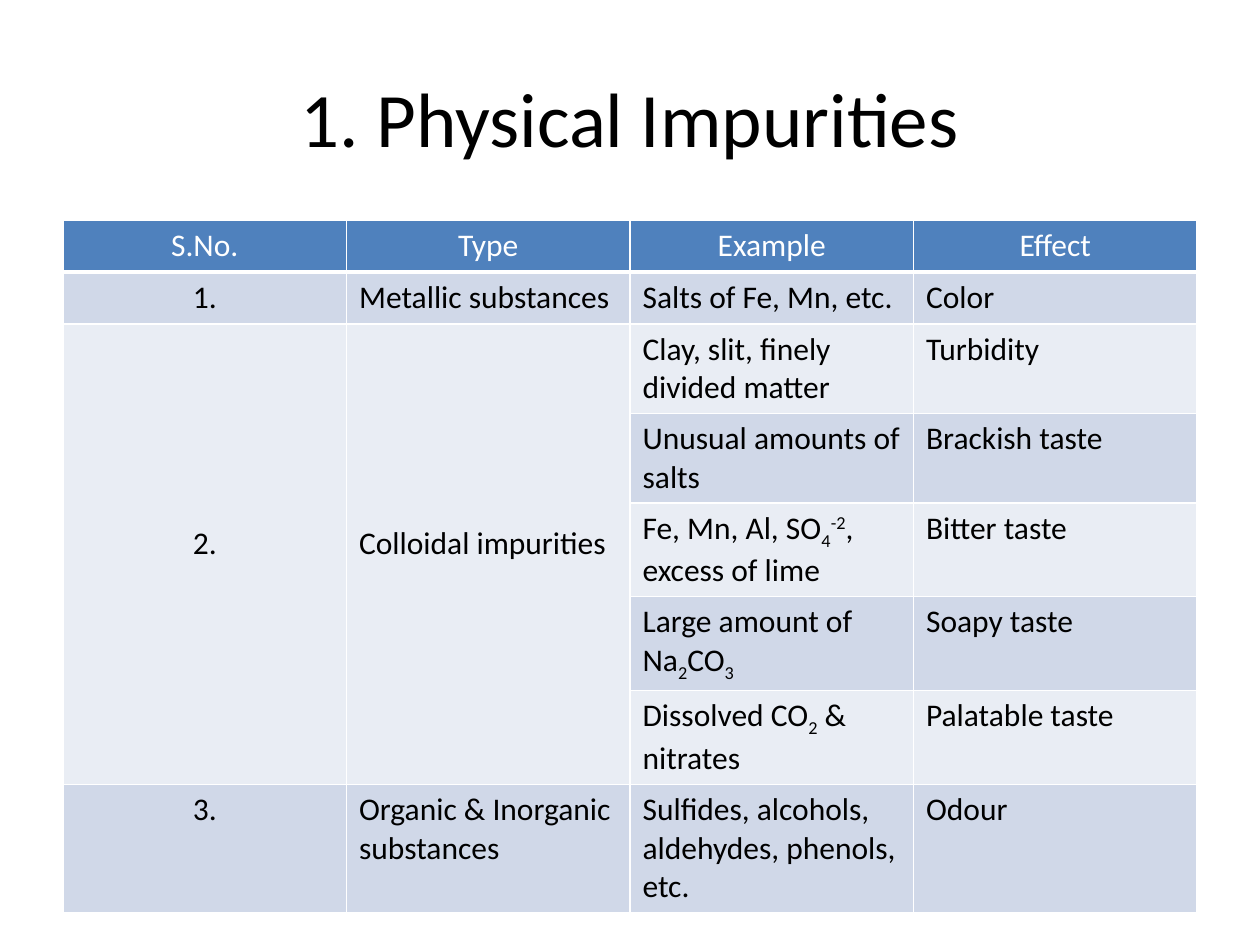
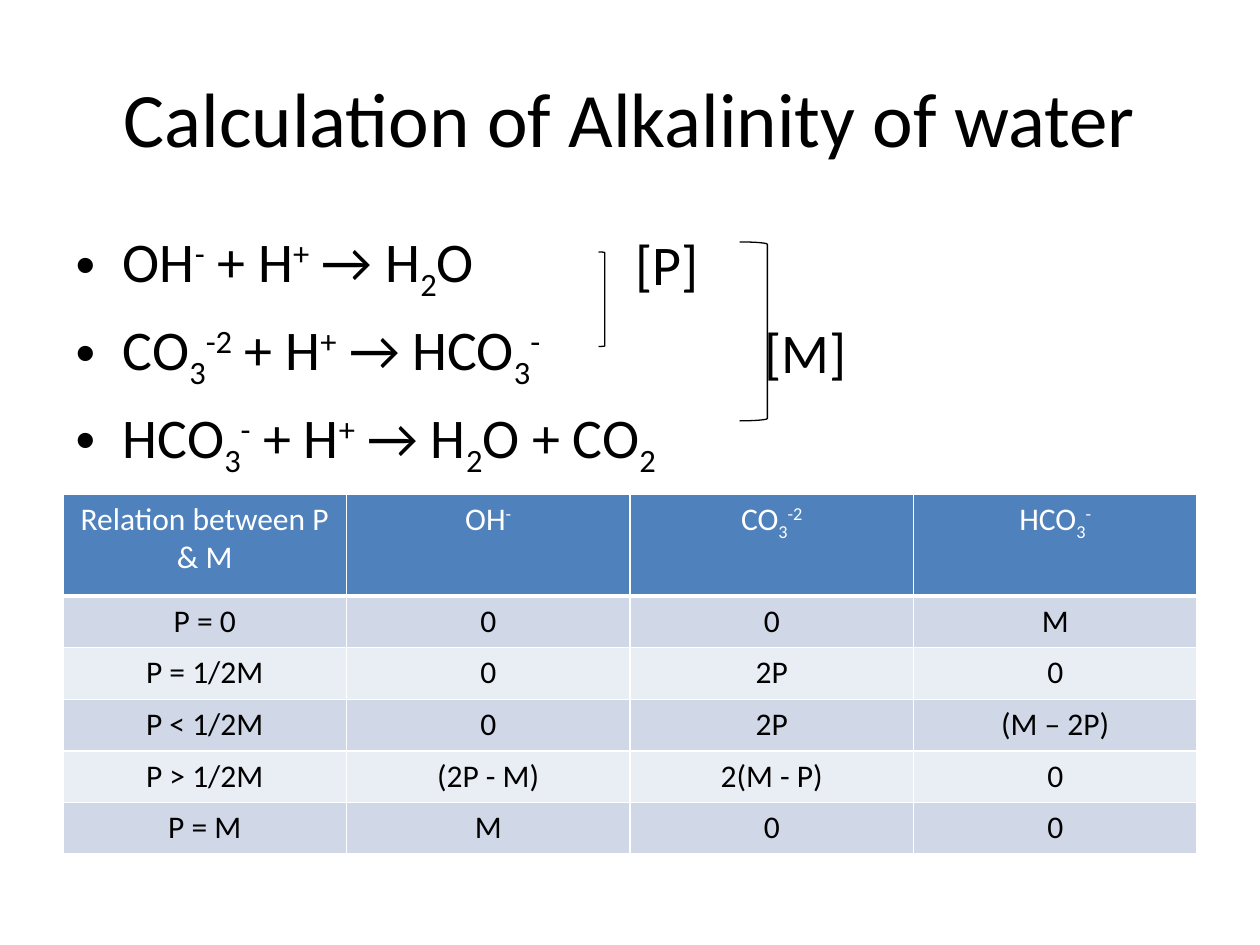
from dataclasses import dataclass

from lxml import etree
from pptx import Presentation
from pptx.dml.color import RGBColor
from pptx.enum.shapes import MSO_SHAPE
from pptx.enum.text import MSO_ANCHOR, PP_ALIGN
from pptx.oxml.ns import qn
from pptx.util import Inches, Pt

CENTER, LEFT = PP_ALIGN.CENTER, PP_ALIGN.LEFT
MIDDLE = MSO_ANCHOR.MIDDLE
RIGHT_BRACKET = MSO_SHAPE.RIGHT_BRACKET

FONT = "Calibri"
COLORS = {
    "text": "000000",
    "white": "FFFFFF",
    "header": "4F81BD",
    "odd_row": "D0D8E8",
    "even_row": "E9EDF4",
}
BASELINES = {"_": "-25000", "^": "30000"}
MARGIN, CONTENT_WIDTH = 0.5, 9
ROW_HEIGHT = 0.41
TITLE_ONLY, TITLE_AND_CONTENT = 5, 1


@dataclass
class Grid:
    top: float
    rows: list[list[str]]
    alignments: list
    header_height: float = ROW_HEIGHT


@dataclass
class Bracket:
    left: float
    top: float
    width: float
    height: float
    label: str
    label_left: float
    label_top: float


IMPURITIES = Grid(
    top=1.75,
    rows=[
        ["S.No.", "Type", "Example", "Effect"],
        ["1.", "Metallic substances", "Salts of Fe, Mn, etc.", "Color"],
        ["2.", "Colloidal impurities", "Clay, slit, finely divided matter", "Turbidity"],
        ["", "", "Unusual amounts of salts", "Brackish taste"],
        ["", "", "Fe, Mn, Al, SO|_4|^-2|, excess of lime", "Bitter taste"],
        ["", "", "Large amount of Na|_2|CO|_3", "Soapy taste"],
        ["", "", "Dissolved CO|_2| & nitrates", "Palatable taste"],
        ["3.", "Organic & Inorganic substances",
         "Sulfides, alcohols, aldehydes, phenols, etc.", "Odour"],
    ],
    alignments=[CENTER, LEFT, LEFT, LEFT],
)
COLLOIDAL_ROWS = (2, 6)

ALKALINITY = Grid(
    top=3.92,
    rows=[
        ["Relation between P & M", "OH|^-", "CO|_3|^-2", "HCO|_3|^-"],
        ["P = 0", "0", "0", "M"],
        ["P = 1/2M", "0", "2P", "0"],
        ["P < 1/2M", "0", "2P", "(M – 2P)"],
        ["P > 1/2M", "(2P - M)", "2(M - P)", "0"],
        ["P = M", "M", "0", "0"],
    ],
    alignments=[CENTER] * 4,
    header_height=0.81,
)
REACTIONS = [
    "OH|^-| + H|^+| → H|_2|O",
    "CO|_3|^-2| + H|^+| → HCO|_3|^-",
    "HCO|_3|^-| + H|^+| → H|_2|O + CO|_2",
]
BRACKETS = [
    Bracket(4.75, 2, 0.05, 0.75, "[P]", 5.04, 1.82),
    Bracket(5.87, 1.92, 0.22, 1.42, "[M]", 6.07, 2.52),
]


def rgb(name: str) -> RGBColor:
    return RGBColor.from_string(COLORS[name])


def write(para, formula: str, size: float, align=LEFT, color: str = "text") -> None:
    for part in formula.split("|"):
        span = para.add_run()
        baseline = BASELINES.get(part[:1])
        span.text = part[1:] if baseline else part
        if baseline:
            span._r.get_or_add_rPr().set("baseline", baseline)
    para.alignment = align
    para.font.name = FONT
    para.font.size = Pt(size)
    para.font.bold = False
    para.font.color.rgb = rgb(color)


def place(shape, left: float, top: float, width: float, height: float) -> None:
    shape.left, shape.top = Inches(left), Inches(top)
    shape.width, shape.height = Inches(width), Inches(height)


def add_page(deck, layout: int, title: str):
    page = deck.slides.add_slide(deck.slide_layouts[layout])
    box = page.shapes.title
    place(box, MARGIN, 0.3, CONTENT_WIDTH, 1.25)
    box.text_frame.vertical_anchor = MIDDLE
    write(box.text_frame.paragraphs[0], title, 44, CENTER)
    return page


def add_borders(cell, bottom: float) -> None:
    properties = cell._tc.get_or_add_tcPr()
    for side, width in (("L", 1), ("R", 1), ("T", 1), ("B", bottom)):
        line = etree.SubElement(properties, qn(f"a:ln{side}"), w=str(Pt(width)))
        fill = etree.SubElement(line, qn("a:solidFill"))
        etree.SubElement(fill, qn("a:srgbClr"), val=COLORS["white"])


def add_grid(page, grid: Grid):
    row_count, column_count = len(grid.rows), len(grid.alignments)
    height = grid.header_height + ROW_HEIGHT * (row_count - 1)
    table = page.shapes.add_table(
        row_count, column_count, Inches(MARGIN), Inches(grid.top),
        Inches(CONTENT_WIDTH), Inches(height)).table
    for row_index, values in enumerate(grid.rows):
        is_header = row_index == 0
        table.rows[row_index].height = Inches(grid.header_height if is_header else ROW_HEIGHT)
        band = "header" if is_header else "odd_row" if row_index % 2 else "even_row"
        for column_index, value in enumerate(values):
            cell = table.cell(row_index, column_index)
            add_borders(cell, 3 if is_header else 1)
            cell.fill.solid()
            cell.fill.fore_color.rgb = rgb(band)
            if value:
                align = CENTER if is_header else grid.alignments[column_index]
                write(cell.text_frame.paragraphs[0], value, 18, align,
                      "white" if is_header else "text")
    return table


def add_bracket(page, bracket: Bracket) -> None:
    shape = page.shapes.add_shape(
        RIGHT_BRACKET, Inches(bracket.left), Inches(bracket.top),
        Inches(bracket.width), Inches(bracket.height))
    shape.shadow.inherit = False
    shape.fill.background()
    shape.line.color.rgb = rgb("text")
    shape.line.width = Pt(0.75)
    box = page.shapes.add_textbox(
        Inches(bracket.label_left), Inches(bracket.label_top), Inches(0.8), Inches(0.54))
    frame = box.text_frame
    frame.word_wrap = True
    frame.margin_left = frame.margin_right = frame.margin_top = frame.margin_bottom = 0
    write(frame.paragraphs[0], bracket.label, 32)


def build_impurities(deck) -> None:
    page = add_page(deck, TITLE_ONLY, "1. Physical Impurities")
    table = add_grid(page, IMPURITIES)
    first, last = COLLOIDAL_ROWS
    for column in range(2):
        cell = table.cell(first, column)
        cell.merge(table.cell(last, column))
        cell.vertical_anchor = MIDDLE
        cell.margin_bottom = Inches(0.22)


def build_alkalinity(deck) -> None:
    page = add_page(deck, TITLE_AND_CONTENT, "Calculation of Alkalinity of water")
    body = page.placeholders[1]
    place(body, MARGIN, 1.75, CONTENT_WIDTH, 4.95)
    frame = body.text_frame
    for index, reaction in enumerate(REACTIONS):
        para = frame.add_paragraph() if index else frame.paragraphs[0]
        write(para, reaction, 32)
        para.space_before = Pt(6.4 if index else 0)
    for bracket in BRACKETS:
        add_bracket(page, bracket)
    add_grid(page, ALKALINITY)


def main() -> None:
    deck = Presentation()
    deck.slide_width, deck.slide_height = Inches(10), Inches(7.5)
    build_impurities(deck)
    build_alkalinity(deck)
    deck.save("out.pptx")


if __name__ == "__main__":
    main()
